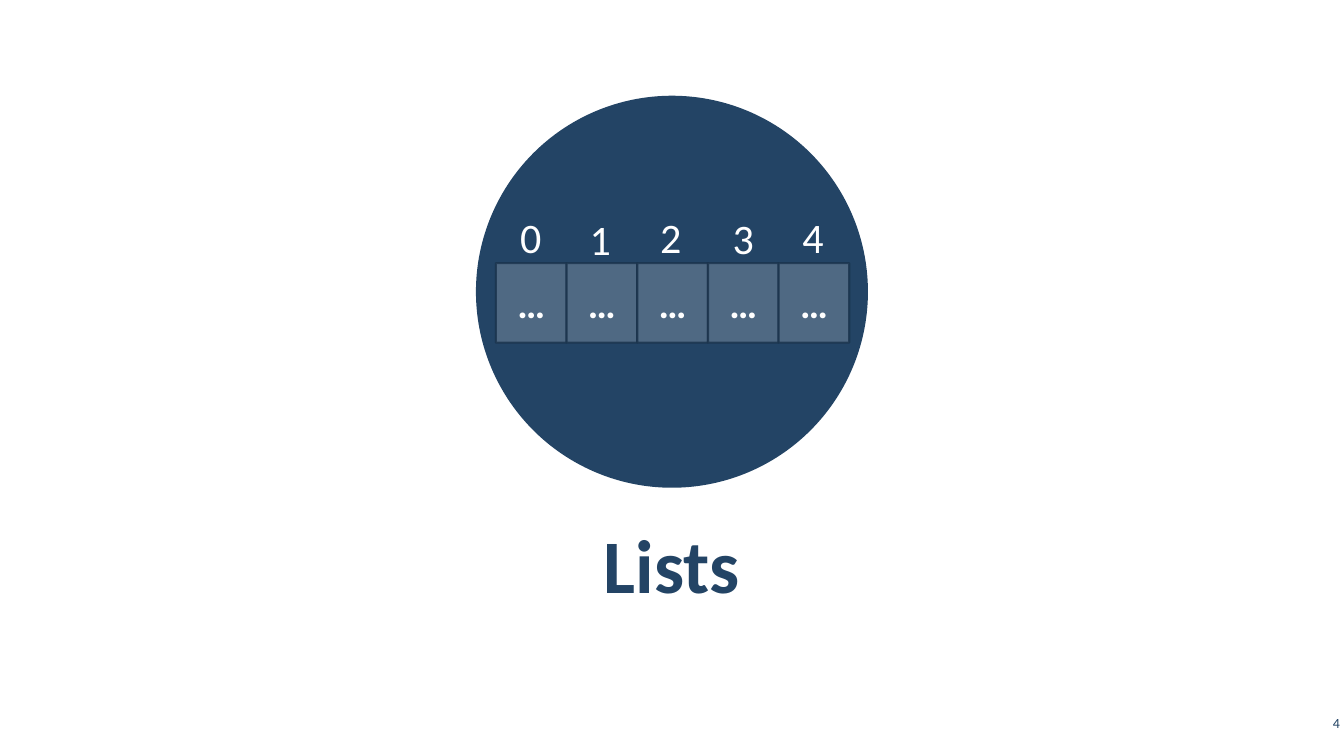
from dataclasses import dataclass

from lxml.etree import SubElement
from pptx import Presentation
from pptx.dml.color import RGBColor
from pptx.dml.fill import FillFormat
from pptx.enum.shapes import MSO_SHAPE
from pptx.enum.text import MSO_ANCHOR, MSO_AUTO_SIZE, PP_ALIGN
from pptx.oxml.ns import qn
from pptx.shapes.shapetree import GroupShapes
from pptx.text.text import TextFrame
from pptx.util import Pt

COLOURS = {"navy": "234465", "outline": "1A334C", "white": "FFFFFF"}
FONT = "Calibri"
CELL_LEFT, CELL_TOP, CELL_PITCH = 354.24, 187.92, 50.5
CELL_WIDTH, CELL_HEIGHT = 50.4, 56.88


@dataclass
class ListItem:
    index: int
    label_left: float
    label_top: float
    value: str = "…"


ITEMS = [
    ListItem(0, 360, 139),
    ListItem(1, 409.7, 140.4),
    ListItem(2, 460.1, 139),
    ListItem(3, 511.9, 139.7),
    ListItem(4, 561.6, 139),
]


def paint(fill: FillFormat, colour: str, opacity: int = 100) -> None:
    fill.solid()
    fill.fore_color.rgb = RGBColor.from_string(COLOURS[colour])
    if opacity < 100:
        tint = fill._xPr.find(qn("a:solidFill"))[0]
        SubElement(tint, qn("a:alpha")).set("val", str(opacity * 1000))


def write(frame: TextFrame, text: str, size: float, colour: str,
          align: PP_ALIGN, bold: bool = False, spacing: float = 1.0) -> None:
    para = frame.paragraphs[0]
    para.alignment = align
    para.line_spacing = spacing
    span = para.add_run()
    span.text = text
    span.font.name = FONT
    span.font.size = Pt(size)
    span.font.bold = bold
    span.font.color.rgb = RGBColor.from_string(COLOURS[colour])


def set_margins(frame: TextFrame, across: float, down: float) -> None:
    frame.margin_left = frame.margin_right = Pt(across)
    frame.margin_top = frame.margin_bottom = Pt(down)


def draw_cell(shapes: GroupShapes, item: ListItem) -> None:
    box = shapes.add_shape(
        MSO_SHAPE.RECTANGLE, Pt(CELL_LEFT + item.index * CELL_PITCH),
        Pt(CELL_TOP), Pt(CELL_WIDTH), Pt(CELL_HEIGHT))
    box.shadow.inherit = False
    paint(box.fill, "white", 20)
    box.line.width = Pt(1.5)
    paint(box.line.fill, "outline", 80)
    box.text_frame.vertical_anchor = MSO_ANCHOR.MIDDLE
    write(box.text_frame, item.value, 28, "white", PP_ALIGN.CENTER, bold=True)


def draw_label(shapes: GroupShapes, item: ListItem) -> None:
    box = shapes.add_textbox(
        Pt(item.label_left), Pt(item.label_top), Pt(38.9), Pt(64))
    frame = box.text_frame
    frame.word_wrap = False
    frame.auto_size = MSO_AUTO_SIZE.SHAPE_TO_FIT_TEXT
    set_margins(frame, 11.5, 8.6)
    write(frame, str(item.index), 30, "white", PP_ALIGN.LEFT, spacing=1.1)


def main() -> None:
    deck = Presentation()
    deck.slide_width, deck.slide_height = Pt(960), Pt(540)
    page = deck.slides.add_slide(deck.slide_layouts[5])

    # Title
    title = page.shapes.title
    title.left, title.top = Pt(48.2), Pt(370.8)
    title.width, title.height = Pt(863.3), Pt(60.5)
    frame = title.text_frame
    frame.word_wrap = True
    frame.auto_size = MSO_AUTO_SIZE.NONE
    frame.vertical_anchor = MSO_ANCHOR.MIDDLE
    set_margins(frame, 8.6, 2.9)
    write(frame, "Lists", 54, "navy", PP_ALIGN.CENTER, bold=True, spacing=1.05)
    frame.paragraphs[0].space_before = Pt(6)
    frame.paragraphs[0].space_after = Pt(6)

    # Round backdrop
    circle = page.shapes.add_shape(
        MSO_SHAPE.OVAL, Pt(340), Pt(68.4), Pt(280), Pt(280))
    circle.shadow.inherit = False
    paint(circle.fill, "navy")
    circle.line.fill.background()

    # List cells with their indices
    diagram = page.shapes.add_group_shape()
    for item in ITEMS:
        draw_cell(diagram.shapes, item)
    for item in ITEMS:
        draw_label(diagram.shapes, item)

    # Page number
    number = page.shapes.add_textbox(Pt(926), Pt(504), Pt(34), Pt(24.5))
    number.text_frame.word_wrap = True
    number.text_frame.vertical_anchor = MSO_ANCHOR.MIDDLE
    set_margins(number.text_frame, 2.9, 2.9)
    write(number.text_frame, "4", 10, "navy", PP_ALIGN.RIGHT)

    deck.save("out.pptx")


if __name__ == "__main__":
    main()
